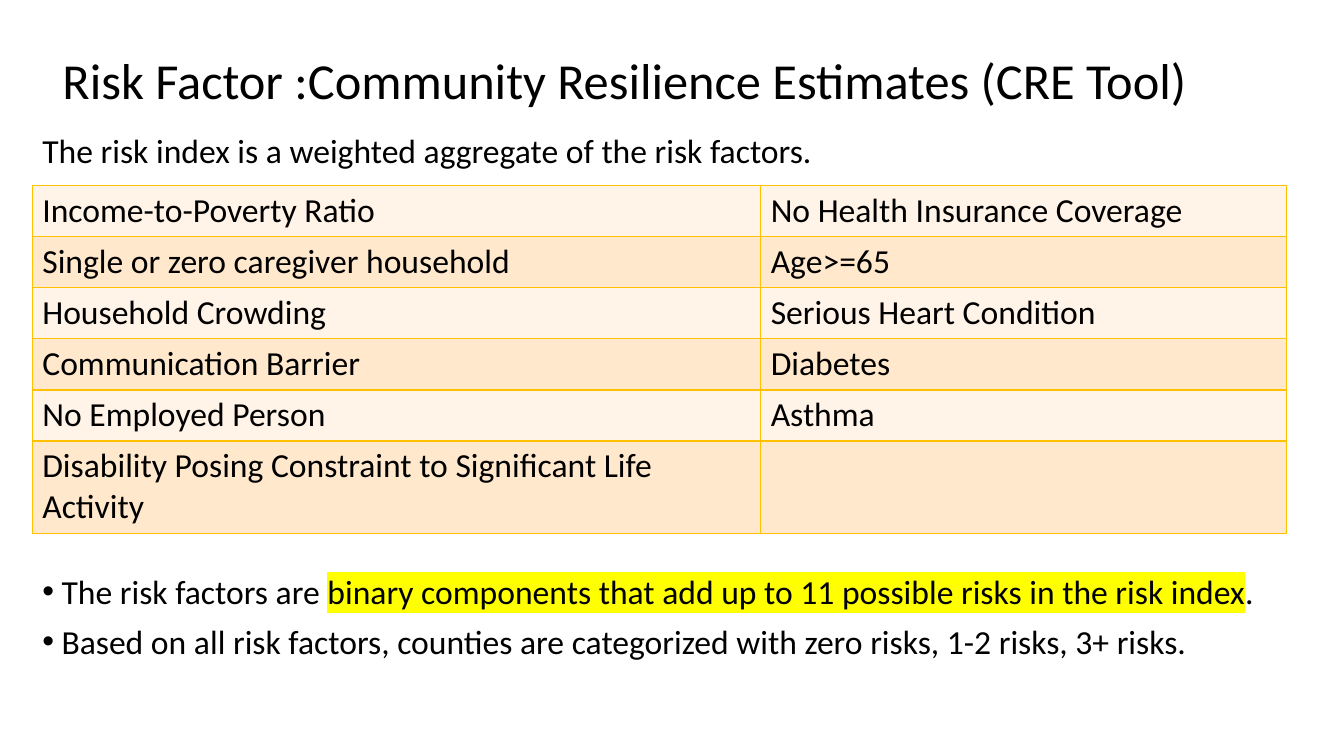
from lxml.etree import SubElement
from pptx import Presentation
from pptx.dml.color import RGBColor
from pptx.enum.text import MSO_ANCHOR, MSO_AUTO_SIZE, PP_ALIGN
from pptx.oxml.ns import qn
from pptx.util import Inches, Pt

COLORS = {
    "text": "000000",
    "highlight": "FFFF00",
    "border": "FFC000",
    "light": "FFF4E7",
    "dark": "FFE8CC",
}
RISK_FACTORS = [
    ("Income-to-Poverty Ratio", "No Health Insurance Coverage"),
    ("Single or zero caregiver household", "Age>=65"),
    ("Household Crowding", "Serious Heart Condition"),
    ("Communication Barrier", "Diabetes"),
    ("No Employed Person", "Asthma"),
    ("Disability Posing Constraint to Significant Life Activity", ""),
]
INTRODUCTION = "The risk index is a weighted aggregate of the risk factors."
BULLETS = [
    (
        ("The risk factors are ", False),
        ("binary components that add up to 11 possible risks in the risk index", True),
        (".", False),
    ),
    (
        (
            "Based on all risk factors, counties are categorized with zero risks, "
            "1-2 risks, 3+ risks.",
            False,
        ),
    ),
]


class SlideBuilder:
    font_name = "Calibri"
    title_size = 36
    body_size = 24
    line_spacing = 0.9
    paragraph_gap = 10
    table_gap = 289

    def __init__(self, deck):
        self.deck = deck
        self.slide = deck.slides.add_slide(deck.slide_layouts[1])

    def across(self, percent):
        return round(self.deck.slide_width * percent / 100)

    def down(self, percent):
        return round(self.deck.slide_height * percent / 100)

    def place(self, box, left, top, width, height):
        box.left, box.top = self.across(left), self.down(top)
        box.width, box.height = self.across(width), self.down(height)
        box.text_frame.word_wrap = True
        box.text_frame.auto_size = MSO_AUTO_SIZE.NONE

    def style(self, span, size):
        span.font.name = self.font_name
        span.font.size = Pt(size)
        span.font.color.rgb = RGBColor.from_string(COLORS["text"])

    def highlight(self, span):
        marker = span.font.fill._xPr.makeelement(qn("a:highlight"))
        SubElement(marker, qn("a:srgbClr")).set("val", COLORS["highlight"])
        span._r.get_or_add_rPr().find(qn("a:solidFill")).addnext(marker)

    def set_bullet(self, para, indent, symbol=None):
        properties = para._p.get_or_add_pPr()
        properties.set("marL", str(Inches(indent)))
        properties.set("indent", str(Inches(-indent)))
        if symbol:
            SubElement(properties, qn("a:buFont")).set("typeface", "Arial")
            SubElement(properties, qn("a:buChar")).set("char", symbol)
        else:
            SubElement(properties, qn("a:buNone"))

    def title(self, text, *position):
        box = self.slide.shapes.title
        self.place(box, *position)
        box.text_frame.vertical_anchor = MSO_ANCHOR.BOTTOM
        box.text_frame.text = text
        para = box.text_frame.paragraphs[0]
        para.alignment = PP_ALIGN.LEFT
        para.line_spacing = self.line_spacing
        self.style(para.runs[0], self.title_size)

    def body(self, introduction, bullets, *position):
        box = self.slide.placeholders[1]
        self.place(box, *position)
        box.text_frame.text = introduction
        para = box.text_frame.paragraphs[0]
        self.set_bullet(para, 0)
        para.line_spacing = self.line_spacing
        para.space_before = Pt(0)
        self.style(para.runs[0], self.body_size)
        for index, spans in enumerate(bullets):
            para = box.text_frame.add_paragraph()
            self.set_bullet(para, 0.19, "•")
            para.line_spacing = self.line_spacing
            para.space_before = Pt(self.paragraph_gap if index else self.table_gap)
            for text, marked in spans:
                span = para.add_run()
                span.text = text
                self.style(span, self.body_size)
                if marked:
                    self.highlight(span)

    def border(self, cell):
        properties = cell._tc.get_or_add_tcPr()
        for side in ("lnL", "lnR", "lnT", "lnB"):
            line = SubElement(properties, qn(f"a:{side}"), w=str(Pt(1)))
            fill = SubElement(line, qn("a:solidFill"))
            SubElement(fill, qn("a:srgbClr")).set("val", COLORS["border"])

    def table(self, rows, left, top, widths, heights):
        table = self.slide.shapes.add_table(
            len(rows), len(widths), self.across(left), self.down(top),
            self.across(sum(widths)), self.down(sum(heights)),
        ).table
        table.first_row = False
        table.horz_banding = False
        for column, width in zip(table.columns, widths):
            column.width = self.across(width)
        for index, (row, height, texts) in enumerate(zip(table.rows, heights, rows)):
            row.height = self.down(height)
            for cell, text in zip(row.cells, texts):
                self.border(cell)
                cell.fill.solid()
                band = "dark" if index % 2 else "light"
                cell.fill.fore_color.rgb = RGBColor.from_string(COLORS[band])
                cell.text_frame.text = text
                for span in cell.text_frame.paragraphs[0].runs:
                    self.style(span, self.body_size)


def main():
    deck = Presentation()
    deck.slide_width, deck.slide_height = Inches(13.33), Inches(7.5)
    builder = SlideBuilder(deck)
    builder.title(
        "Risk Factor :Community Resilience Estimates (CRE Tool)",
        3.9, -1.07, 86.27, 16.4,
    )
    builder.body(INTRODUCTION, BULLETS, 2.4, 17.07, 96.7, 70)
    builder.table(RISK_FACTORS, 2.4, 24.53, [54.2, 39.1], [6.75] * 5 + [12.2])
    deck.save("out.pptx")


if __name__ == "__main__":
    main()
